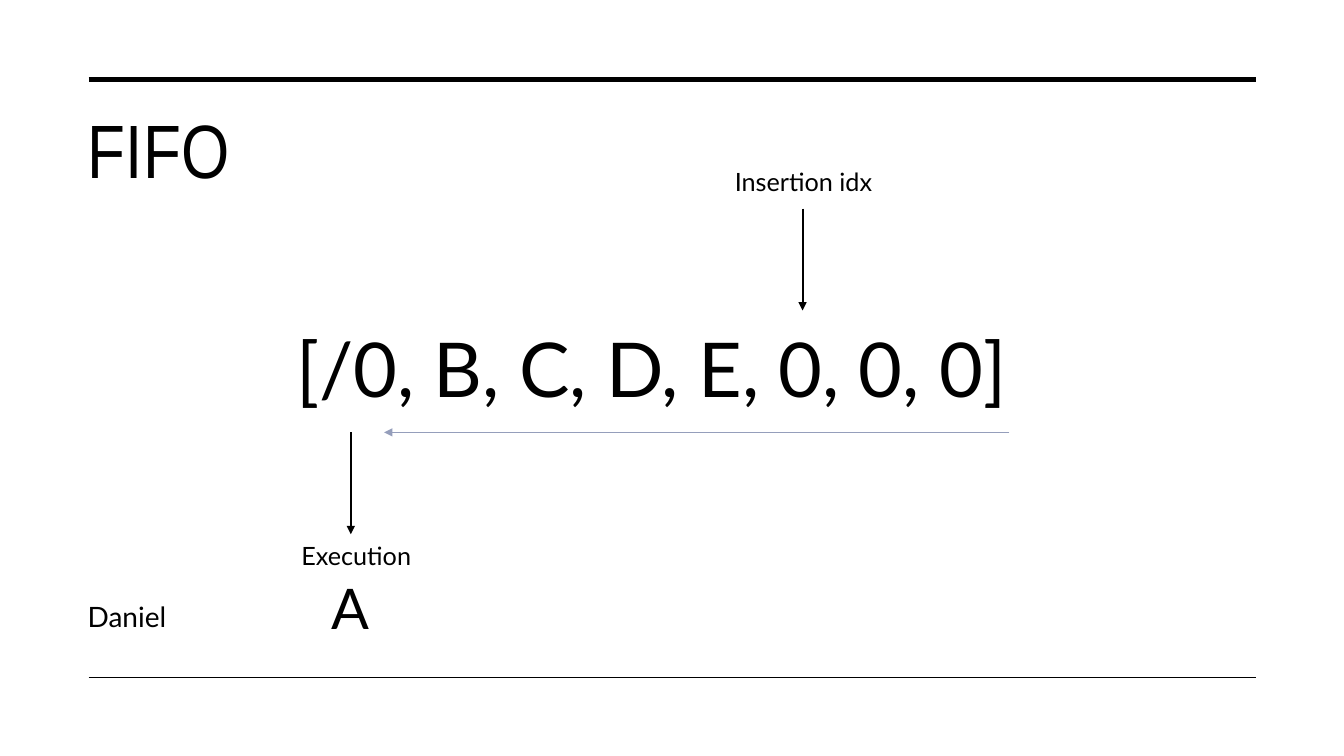
from lxml.etree import SubElement
from pptx import Presentation
from pptx.dml.color import RGBColor
from pptx.enum.shapes import MSO_CONNECTOR as CONN
from pptx.enum.text import MSO_ANCHOR as ANCHOR
from pptx.oxml.ns import qn
from pptx.util import Inches, Pt

BLACK = RGBColor(0x00, 0x00, 0x00)
SHIFT_BLUE = RGBColor(0x95, 0x9E, 0xBB)


class SlideBuilder:
    """Holds the text style and the current slide."""

    style = {"name": "Lato", "size": Pt(18)}

    def __init__(self, prs):
        self.slide = prs.slides.add_slide(prs.slide_layouts[6])

    def text(self, text, left, top, width, height, anchor=ANCHOR.TOP,
             spacing=1.0, tracking=None, **font):
        box = self.slide.shapes.add_textbox(
            Inches(left), Inches(top), Inches(width), Inches(height))
        tf = box.text_frame
        tf.word_wrap = True
        tf.vertical_anchor = anchor
        p = tf.paragraphs[0]
        p.line_spacing = spacing
        r = p.add_run()
        r.text = text
        for key, value in {**self.style, **font}.items():
            setattr(r.font, key, value)
        r.font.color.rgb = BLACK
        if tracking:
            r.font._element.set("spc", str(tracking))

    def line(self, x1, y1, x2, y2, width, color=BLACK, arrow=False):
        c = self.slide.shapes.add_connector(
            CONN.STRAIGHT, Inches(x1), Inches(y1), Inches(x2), Inches(y2))
        c.line.color.rgb = color
        c.line.width = Pt(width)
        if arrow:
            SubElement(c.line._get_or_add_ln(), qn("a:tailEnd"), type="triangle")
        SubElement(c._element.spPr, qn("a:effectLst"))


def main():
    prs = Presentation()
    prs.slide_width, prs.slide_height = Inches(13.33), Inches(7.5)
    s = SlideBuilder(prs)

    # Frame rules
    for y, width in ((0.79, 3.5), (6.72, 1)):
        s.line(0.88, y, 12.46, y, width)

    # Title and author
    s.text("FIFO", 0.77, 0.97, 10.92, 3.94, name="Arial Narrow",
           size=Pt(54), tracking=30)
    s.text("Daniel", 0.77, 4.91, 7.65, 1.42, anchor=ANCHOR.BOTTOM,
           spacing=1.1, size=Pt(20))

    # Queue
    s.text("[/0, B, C, D, E, 0, 0, 0]", 2.84, 3.14, 7.65, 1.01, size=Pt(54))

    # Arrows for execution and insertion
    for x, y in ((3.48, 4.29), (7.96, 2.07)):
        s.line(x, y, x, y + 1.01, 1.5, arrow=True)

    # Labels and the executed item
    s.text("Insertion idx", 7.19, 1.6, 1.67, 0.4)
    s.text("Execution", 2.89, 5.31, 1.67, 0.4)
    s.text("A", 3.19, 5.64, 1.67, 0.77, size=Pt(40))

    # Shift direction
    s.line(10.01, 4.29, 3.81, 4.29, 1, SHIFT_BLUE, arrow=True)

    prs.save("out.pptx")


if __name__ == "__main__":
    main()
